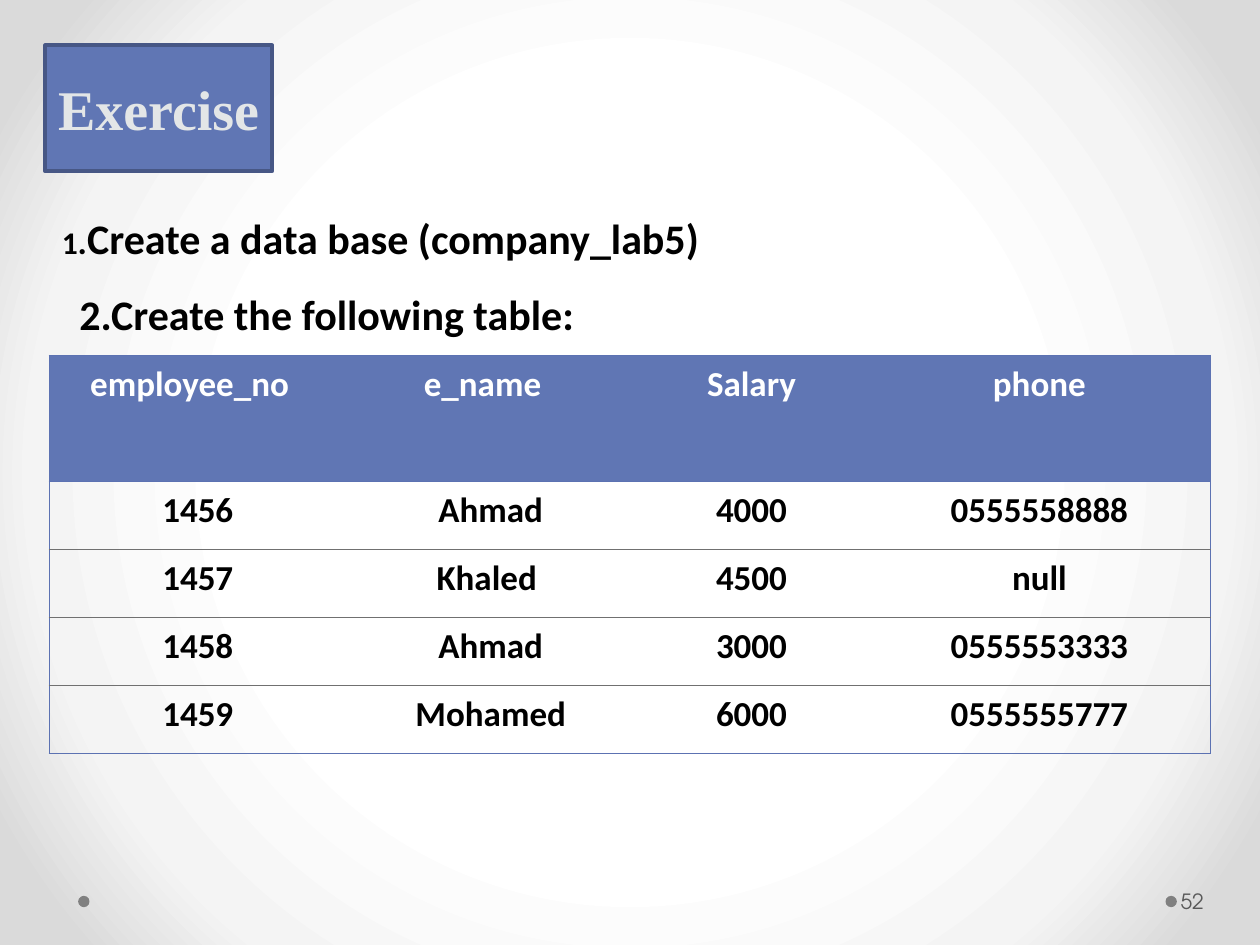
from dataclasses import dataclass

import pptx
import pptx.dml.color
import pptx.enum.shapes
import pptx.enum.text
import pptx.oxml
import pptx.oxml.ns
import pptx.util

Inches = pptx.util.Inches
Pt = pptx.util.Pt
RGB = pptx.dml.color.RGBColor
Align = pptx.enum.text.PP_ALIGN
Anchor = pptx.enum.text.MSO_ANCHOR
qn = pptx.oxml.ns.qn
NS = pptx.oxml.ns.nsdecls("a")

BLUE = RGB(0x60, 0x76, 0xB4)
NAVY = RGB(0x47, 0x57, 0x85)
EDGE = RGB(0x5C, 0x72, 0xB2)
RULE = RGB(0x70, 0x70, 0x70)
PALE = RGB(0xE3, 0xE6, 0xE7)
GRAY = RGB(0x80, 0x80, 0x80)
DARK = RGB(0x59, 0x59, 0x59)
BLACK = RGB(0, 0, 0)
WHITE = RGB(0xFF, 0xFF, 0xFF)
STOPS = ((50, WHITE), (76, RGB(0xF4, 0xF4, 0xF4)), (92, RGB(0xDA, 0xDA, 0xDA)))

WIDTHS = (2.36, 2.29, 1.85, 2.72)
HEIGHTS = (1, 0.54, 0.54, 0.54, 0.54)
ROWS = (
    ("employee_no", "e_name", "Salary", "phone"),
    ("1456", "Ahmad", "4000", "0555558888"),
    ("1457", "Khaled ", "4500", "null"),
    ("1458", "Ahmad", "3000", "0555553333"),
    ("1459", "Mohamed", "6000", "0555555777"),
)


@dataclass
class Step:
    indent: float
    words: tuple[tuple[str, int], ...]


STEPS = (
    Step(0.39, (("1", 18), (".", 20), ("Create a data base (company_lab5)", 24))),
    Step(0.53, (("2.Create the following table:", 24),)),
)


def style(run, size: int, color: RGB, face: str = "Calibri", bold: bool = True) -> None:
    font = run.font
    font.name, font.size, font.bold = face, Pt(size), bold
    font.color.rgb = color


def place(shape, left: float, top: float, width: float, height: float) -> None:
    shape.left, shape.top = Inches(left), Inches(top)
    shape.width, shape.height = Inches(width), Inches(height)


def shade(slide) -> None:
    """Give the slide a round gradient, white in the middle."""
    slide.background.fill.gradient()
    grad = slide.element.find(".//" + qn("a:gradFill"))
    stops = "".join(
        f'<a:gs pos="{pos * 1000}"><a:srgbClr val="{color}"/></a:gs>'
        for pos, color in STOPS
    )
    new = pptx.oxml.parse_xml(
        f'<a:gradFill {NS} rotWithShape="1"><a:gsLst>{stops}</a:gsLst>'
        '<a:path path="circle"><a:fillToRect l="50000" t="50000" r="50000" b="50000"/>'
        "</a:path></a:gradFill>"
    )
    grad.getparent().replace(grad, new)


def add_dot(slide, left: float) -> None:
    size = Inches(0.09)
    dot = slide.shapes.add_shape(
        pptx.enum.shapes.MSO_SHAPE.OVAL, Inches(left), Inches(7.11), size, size
    )
    dot.shadow.inherit = False
    dot.fill.solid()
    dot.fill.fore_color.rgb = GRAY
    dot.line.fill.background()


def set_title(title) -> None:
    place(title, 0.36, 0.36, 1.8, 1)
    title.fill.solid()
    title.fill.fore_color.rgb = BLUE
    title.line.color.rgb = NAVY
    title.line.width = Pt(2.25)
    frame = title.text_frame
    frame.text = "Exercise"
    frame.word_wrap = False
    frame.auto_size = pptx.enum.text.MSO_AUTO_SIZE.NONE
    frame.vertical_anchor = Anchor.MIDDLE
    para = frame.paragraphs[0]
    para.alignment = Align.CENTER
    style(para.runs[0], 32, PALE, "Times New Roman")


def set_steps(body) -> None:
    place(body, 0, 1.44, 8.39, 1.35)
    frame = body.text_frame
    frame.auto_size = pptx.enum.text.MSO_AUTO_SIZE.NONE
    for num, step in enumerate(STEPS):
        para = frame.add_paragraph() if num else frame.paragraphs[0]
        para.line_spacing = 1.5
        para.space_before = Pt(0)
        props = para._p.get_or_add_pPr()
        props.set("marL", str(Inches(step.indent)))
        props.set("indent", "0")
        props.append(pptx.oxml.parse_xml(f"<a:buNone {NS}/>"))
        for text, size in step.words:
            run = para.add_run()
            run.text = text
            style(run, size, BLACK)


def add_edge(cell, side: str, color: RGB | None) -> None:
    fill = (
        f'<a:solidFill><a:srgbClr val="{color}"/></a:solidFill>'
        if color else "<a:noFill/>"
    )
    cell._tc.get_or_add_tcPr().append(
        pptx.oxml.parse_xml(f'<a:ln{side} {NS} w="{Pt(0.75)}">{fill}</a:ln{side}>')
    )


def set_cell(cell, text: str, row: int, col: int) -> None:
    head = row == 0
    add_edge(cell, "L", EDGE if col == 0 else None)
    add_edge(cell, "R", EDGE if col == len(WIDTHS) - 1 else None)
    add_edge(cell, "T", EDGE if row < 2 else RULE)
    add_edge(cell, "B", EDGE if row in (0, len(ROWS) - 1) else RULE)
    if head:
        cell.fill.solid()
        cell.fill.fore_color.rgb = BLUE
    else:
        cell.fill.background()
    cell.margin_left = Inches(0.07)
    cell.margin_right = Inches(0.2 if head and col < 2 else 0.07)
    cell.margin_top, cell.margin_bottom = Inches(0.01), 0
    cell.text_frame.text = text
    para = cell.text_frame.paragraphs[0]
    para.alignment = Align.CENTER
    para.line_spacing = 1.15
    para.space_after = Pt(10)
    style(para.runs[0], 20, WHITE if head else BLACK)


def add_grid(slide) -> None:
    grid = slide.shapes.add_table(
        len(ROWS), len(WIDTHS), Inches(0.39), Inches(2.82),
        Inches(sum(WIDTHS)), Inches(sum(HEIGHTS)),
    ).table
    grid.horz_banding = False
    for col, width in zip(grid.columns, WIDTHS):
        col.width = Inches(width)
    for row, height in zip(grid.rows, HEIGHTS):
        row.height = Inches(height)
    for row, texts in enumerate(ROWS):
        for col, text in enumerate(texts):
            set_cell(grid.cell(row, col), text, row, col)


def add_page(slide) -> None:
    box = slide.shapes.add_textbox(Inches(9.34), Inches(6.95), Inches(0.61), Inches(0.4))
    frame = box.text_frame
    frame.word_wrap = True
    frame.vertical_anchor = Anchor.MIDDLE
    frame.margin_left, frame.margin_right = Inches(0.03), Inches(0.05)
    frame.text = "52"
    style(frame.paragraphs[0].runs[0], 12, DARK, "TeX Gyre Adventor", False)


def main() -> None:
    deck = pptx.Presentation()
    deck.slide_width, deck.slide_height = Inches(10), Inches(7.5)
    slide = deck.slides.add_slide(deck.slide_layouts[1])
    shade(slide)
    for left in (9.25, 0.62):
        add_dot(slide, left)
    set_title(slide.shapes.title)
    set_steps(slide.placeholders[1])
    add_grid(slide)
    add_page(slide)
    deck.save("out.pptx")


if __name__ == "__main__":
    main()
